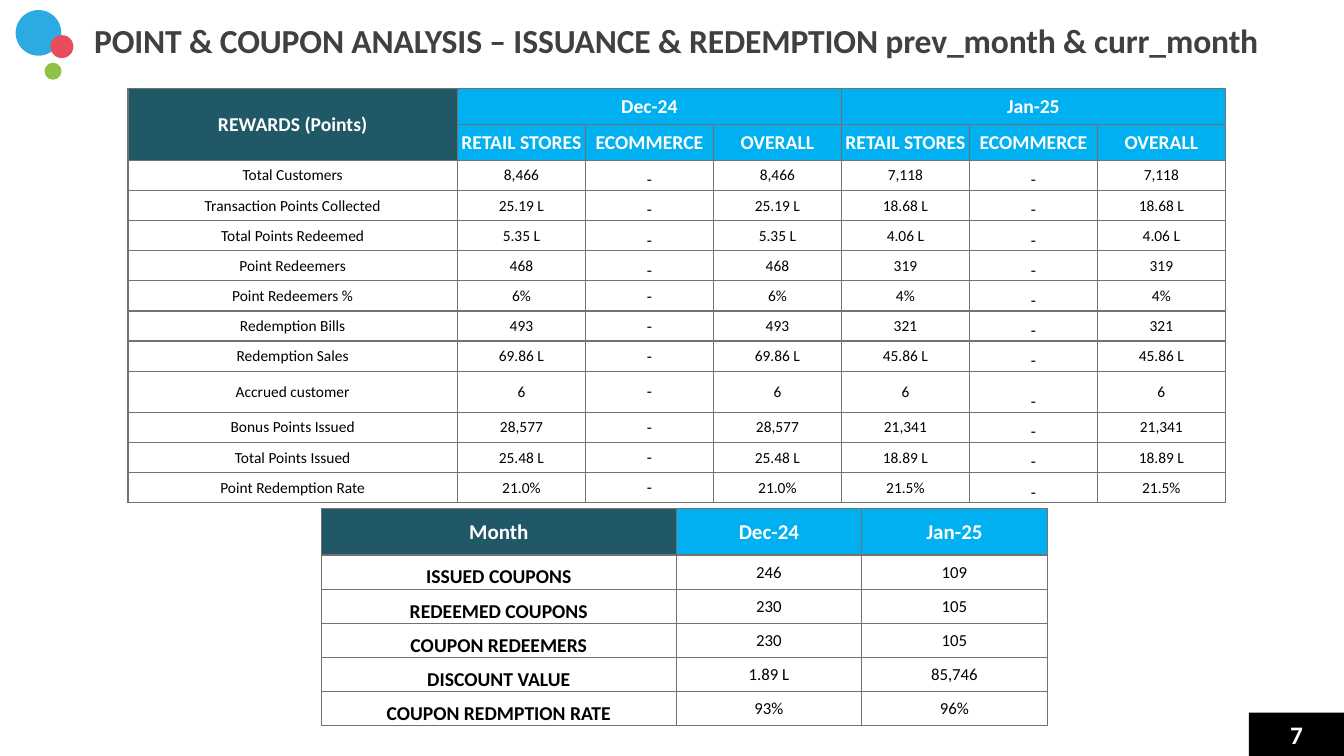
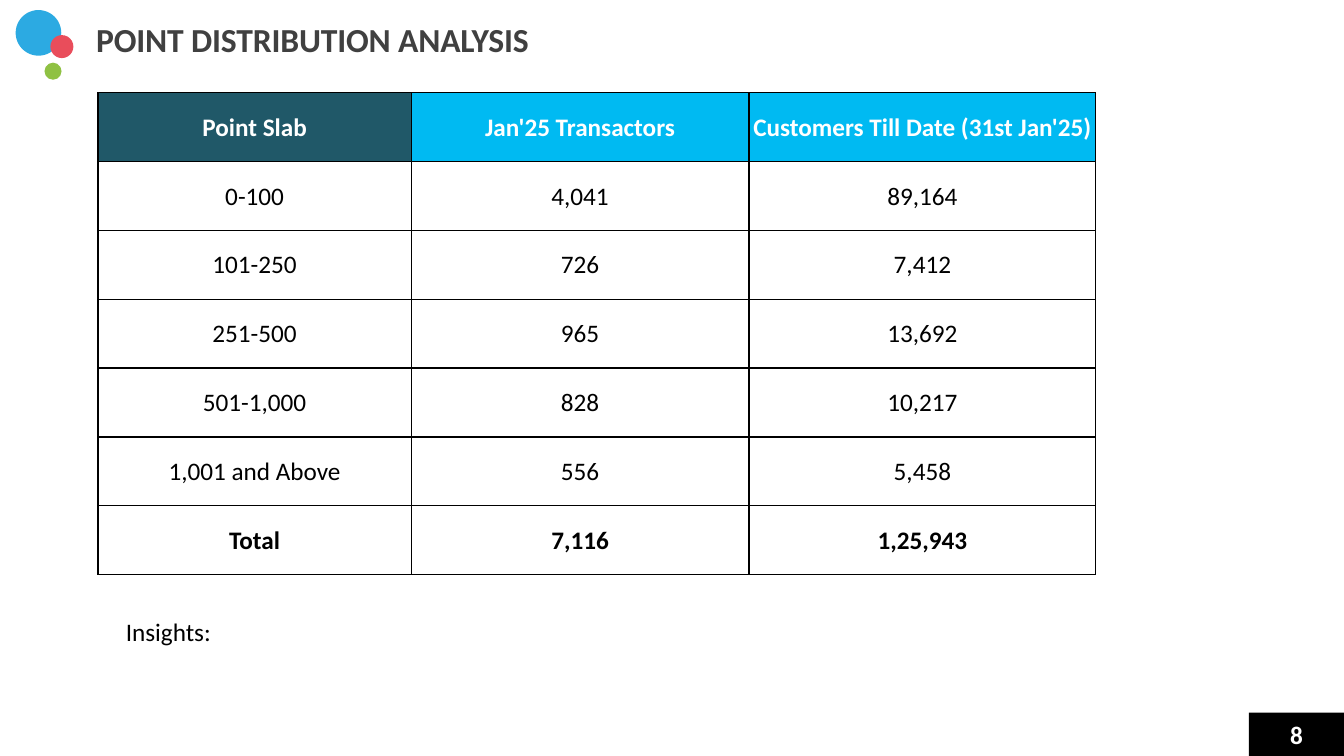
from dataclasses import dataclass

from lxml import etree
from pptx import Presentation
from pptx.dml.color import RGBColor
from pptx.enum.shapes import MSO_SHAPE
from pptx.enum.text import MSO_ANCHOR, MSO_AUTO_SIZE, PP_ALIGN
from pptx.oxml.ns import qn
from pptx.util import Pt

OVAL, RECTANGLE = MSO_SHAPE.OVAL, MSO_SHAPE.RECTANGLE
MIDDLE, BOTTOM = MSO_ANCHOR.MIDDLE, MSO_ANCHOR.BOTTOM
LEFT, CENTER = PP_ALIGN.LEFT, PP_ALIGN.CENTER
FIT_SHAPE = MSO_AUTO_SIZE.SHAPE_TO_FIT_TEXT
TITLE_ONLY = 5


@dataclass(frozen=True)
class Theme:
    font: str = "Calibri"
    # Colours
    title: str = "404040"
    text: str = "000000"
    white: str = "FFFFFF"
    label_head: str = "205868"
    month_head: str = "00B0F0"
    slab_head: str = "00BAF2"
    gray_border: str = "767171"
    black: str = "000000"
    blue_dot: str = "2CAAE2"
    red_dot: str = "E94D5B"
    green_dot: str = "8FC143"
    # Type sizes
    title_size: float = 24
    large: float = 18
    month_size: float = 15
    head_size: float = 14
    value_size: float = 12
    small: float = 11


THEME = Theme()

# Left, top, diameter, colour
DOTS = [
    (11.2, 7.2, 32.6, THEME.blue_dot),
    (36, 25.1, 16.4, THEME.red_dot),
    (31.8, 44.8, 12.2, THEME.green_dot),
]

MONTHS = ["Dec-24", "Jan-25"]
CHANNELS = ["RETAIL STORES", "ECOMMERCE", "OVERALL"]
REWARDS = [
    ("Total Customers", "8,466", "7,118"),
    ("Transaction Points Collected", "25.19 L", "18.68 L"),
    ("Total Points Redeemed", "5.35 L", "4.06 L"),
    ("Point Redeemers", "468", "319"),
    ("Point Redeemers %", "6%", "4%"),
    ("Redemption Bills", "493", "321"),
    ("Redemption Sales", "69.86 L", "45.86 L"),
    ("Accrued customer", "6", "6"),
    ("Bonus Points Issued", "28,577", "21,341"),
    ("Total Points Issued", "25.48 L", "18.89 L"),
    ("Point Redemption Rate", "21.0%", "21.5%"),
]
COUPONS = [
    ("ISSUED COUPONS", "246", "109"),
    ("REDEEMED COUPONS", "230", "105"),
    ("COUPON REDEEMERS", "230", "105"),
    ("DISCOUNT VALUE", "1.89 L", "85,746"),
    ("COUPON REDMPTION RATE", "93%", "96%"),
]
SLAB_HEADS = ["Point Slab", "Jan'25 Transactors", "Customers Till Date (31st Jan'25)"]
SLABS = [
    ("0-100", "4,041", "89,164"),
    ("101-250", "726", "7,412"),
    ("251-500", "965", "13,692"),
    ("501-1,000", "828", "10,217"),
    ("1,001 and Above", "556", "5,458"),
    ("Total", "7,116", "1,25,943"),
]


def write(frame, text, size, color=THEME.text, bold=False, align=LEFT):
    """Put one formatted run in the first paragraph of a text frame."""
    paragraph = frame.paragraphs[0]
    paragraph.alignment = align
    run = paragraph.add_run()
    run.text = text
    run.font.name = THEME.font
    run.font.size = Pt(size)
    run.font.bold = bold
    run.font.color.rgb = RGBColor.from_string(color)
    return run


def add_plain_shape(shapes, kind, left, top, width, height, color):
    shape = shapes.add_shape(kind, Pt(left), Pt(top), Pt(width), Pt(height))
    shape.shadow.inherit = False
    shape.fill.solid()
    shape.fill.fore_color.rgb = RGBColor.from_string(color)
    shape.line.fill.background()
    return shape


def add_title(slide, text, left, top, width):
    title = slide.shapes.title
    title.left, title.top, title.width, title.height = Pt(left), Pt(top), Pt(width), Pt(30.2)
    frame = title.text_frame
    frame.word_wrap = True
    frame.auto_size = FIT_SHAPE
    frame.vertical_anchor = MIDDLE
    frame.margin_left = frame.margin_right = frame.margin_bottom = 0
    frame.margin_top = Pt(1)
    run = write(frame, text, THEME.title_size, THEME.title, True)
    run._r.get_or_add_rPr().set("spc", "-10")
    paragraph = frame.paragraphs[0]
    paragraph.space_before = Pt(1)
    paragraph._p.get_or_add_pPr().set("marL", str(Pt(1)))


def add_base_slide(prs, number, title, left, top, width):
    """Start a slide with its dots, page number and title."""
    slide = prs.slides.add_slide(prs.slide_layouts[TITLE_ONLY])
    dots = slide.shapes.add_group_shape()
    for dot_left, dot_top, diameter, color in DOTS:
        add_plain_shape(dots.shapes, OVAL, dot_left, dot_top, diameter, diameter, color)
    page_box = add_plain_shape(slide.shapes, RECTANGLE, 892, 509, 68, 31, THEME.black)
    page_box.text_frame.vertical_anchor = MIDDLE
    write(page_box.text_frame, str(number), THEME.large, THEME.white, True, CENTER)
    add_title(slide, title, left, top, width)
    return slide


def set_borders(cell, color):
    properties = cell._tc.get_or_add_tcPr()
    for side in ("a:lnL", "a:lnR", "a:lnT", "a:lnB"):
        line = etree.SubElement(properties, qn(side), w=str(Pt(1)))
        fill = etree.SubElement(line, qn("a:solidFill"))
        etree.SubElement(fill, qn("a:srgbClr"), val=color)


def add_grid(slide, left, top, widths, heights, border):
    """Add an unstyled table with the same border round every cell."""
    frame = slide.shapes.add_table(
        len(heights), len(widths), Pt(left), Pt(top), Pt(sum(widths)), Pt(sum(heights)))
    table = frame.table
    table.first_row = table.horz_banding = False
    for column, width in zip(table.columns, widths):
        column.width = Pt(width)
    for row, height in zip(table.rows, heights):
        row.height = Pt(height)
    for cell in table.iter_cells():
        set_borders(cell, border)
        cell.fill.background()
        cell.margin_left = cell.margin_right = cell.margin_top = Pt(0.6)
        cell.margin_bottom = 0
    return table


def fill_cell(cell, text, size, bold=False, anchor=MIDDLE):
    cell.vertical_anchor = anchor
    write(cell.text_frame, text, size, THEME.text, bold, CENTER)


def fill_head(cell, text, size, color):
    cell.vertical_anchor = MIDDLE
    cell.fill.solid()
    cell.fill.fore_color.rgb = RGBColor.from_string(color)
    write(cell.text_frame, text, size, THEME.white, True, CENTER)


def add_rewards_table(slide):
    heights = [25.5] * 2 + [29.2 if row[0] == "Accrued customer" else 21.57 for row in REWARDS]
    table = add_grid(slide, 91.4, 63.4, [235.4] + [91.44] * 6, heights, THEME.gray_border)

    # Two-level header
    table.cell(0, 0).merge(table.cell(1, 0))
    fill_head(table.cell(0, 0), "REWARDS (Points)", THEME.head_size, THEME.label_head)
    for index, month in enumerate(MONTHS):
        first = 1 + index * len(CHANNELS)
        table.cell(0, first).merge(table.cell(0, first + len(CHANNELS) - 1))
        fill_head(table.cell(0, first), month, THEME.head_size, THEME.month_head)
        for offset, channel in enumerate(CHANNELS):
            fill_head(table.cell(1, first + offset), channel, THEME.head_size, THEME.month_head)

    # Stores make up the whole total, as there is no online trade
    for index, (label, previous, current) in enumerate(REWARDS):
        row = index + 2
        fill_cell(table.cell(row, 0), label, THEME.small)
        dash_anchors = (BOTTOM if index < 4 else MIDDLE, BOTTOM)
        for month, (value, dash_anchor) in enumerate(zip((previous, current), dash_anchors)):
            first = 1 + month * len(CHANNELS)
            fill_cell(table.cell(row, first), value, THEME.small)
            fill_cell(table.cell(row, first + 1), "-", THEME.value_size, anchor=dash_anchor)
            fill_cell(table.cell(row, first + 2), value, THEME.small)


def add_coupon_table(slide):
    heights = [33] + [24.36] * len(COUPONS)
    table = add_grid(slide, 229.6, 363.5, [253.4, 132.5, 132.5], heights, THEME.gray_border)
    fill_head(table.cell(0, 0), "Month", THEME.month_size, THEME.label_head)
    for column, month in enumerate(MONTHS, 1):
        fill_head(table.cell(0, column), month, THEME.month_size, THEME.month_head)
    for row, (label, *values) in enumerate(COUPONS, 1):
        fill_cell(table.cell(row, 0), label, THEME.head_size, True, BOTTOM)
        for column, value in enumerate(values, 1):
            fill_cell(table.cell(row, column), value, THEME.value_size)


def add_slab_table(slide):
    heights = [49.2] * (len(SLABS) + 1)
    table = add_grid(slide, 70, 66.2, [223.8, 241.2, 247.8], heights, THEME.black)
    for column, head in enumerate(SLAB_HEADS):
        color = THEME.slab_head if column else THEME.label_head
        fill_head(table.cell(0, column), head, THEME.large, color)
    for row, values in enumerate(SLABS, 1):
        for column, value in enumerate(values):
            fill_cell(table.cell(row, column), value, THEME.large, values[0] == "Total")


def add_insights(slide):
    box = slide.shapes.add_textbox(Pt(82.8), Pt(437), Pt(780.5), Pt(29))
    box.text_frame.word_wrap = True
    box.text_frame.auto_size = FIT_SHAPE
    write(box.text_frame, "Insights:", THEME.large)


def main():
    prs = Presentation()
    prs.slide_width, prs.slide_height = Pt(960), Pt(540)

    # Points and coupons
    points = add_base_slide(
        prs, 7, "POINT & COUPON ANALYSIS – ISSUANCE & REDEMPTION prev_month & curr_month",
        66.2, 13, 849.6)
    add_coupon_table(points)
    add_rewards_table(points)

    # Point slabs
    slabs = add_base_slide(prs, 8, "POINT DISTRIBUTION ANALYSIS", 67.7, 12.2, 770.4)
    add_slab_table(slabs)
    add_insights(slabs)

    prs.save("out.pptx")


if __name__ == "__main__":
    main()
